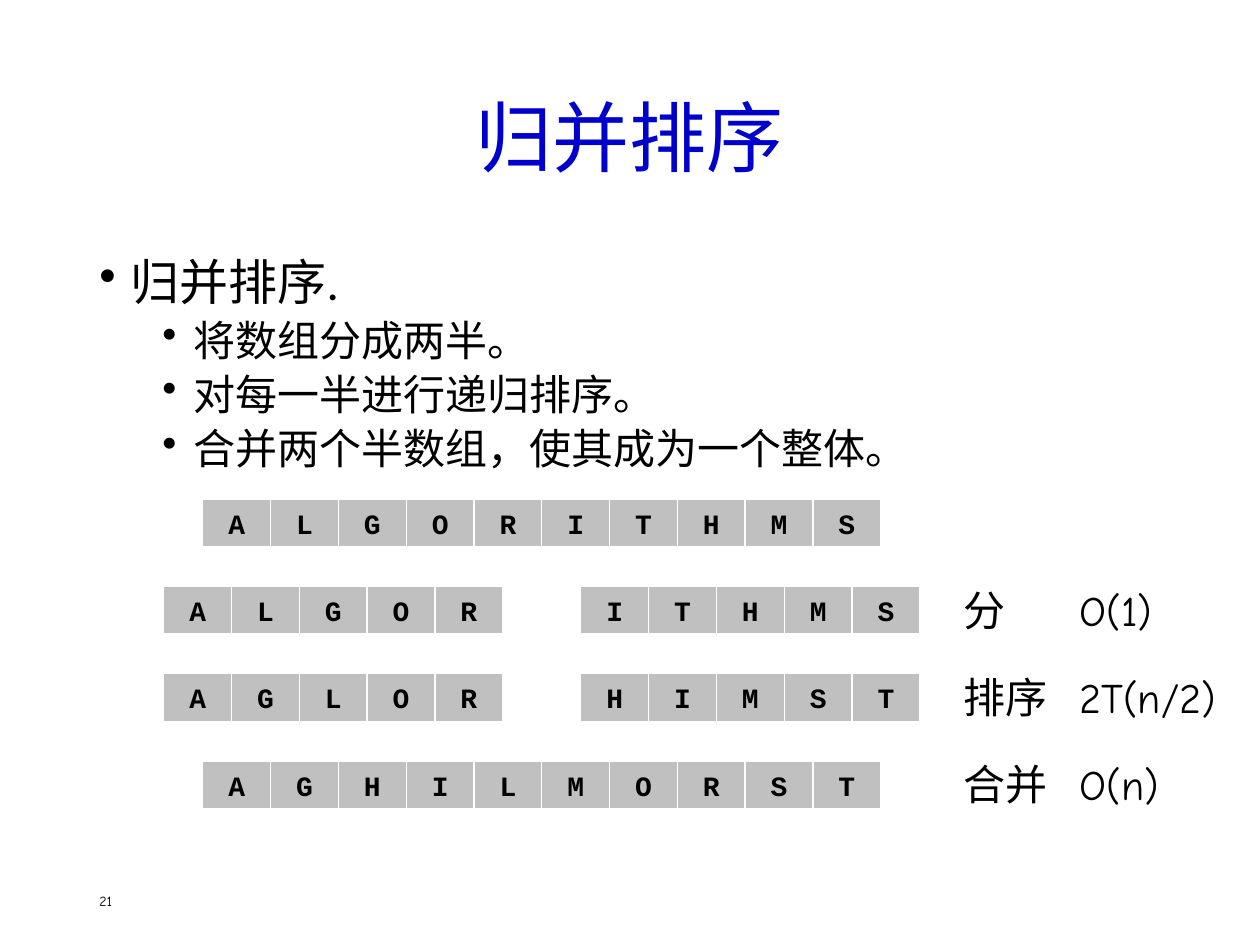
from dataclasses import dataclass

import pptx
import pptx.dml.color
import pptx.enum.shapes
import pptx.enum.text
import pptx.oxml
import pptx.oxml.ns
import pptx.util
from lxml import etree

Inches = pptx.util.Inches
Pt = pptx.util.Pt
RGB = pptx.dml.color.RGBColor.from_string
ALIGN = pptx.enum.text.PP_ALIGN
ANCHOR = pptx.enum.text.MSO_ANCHOR
RECT = pptx.enum.shapes.MSO_SHAPE.RECTANGLE


@dataclass(frozen=True)
class Theme:
    title: str = "0000CC"
    text: str = "000000"
    cell: str = "C0C0C0"
    border: str = "FFFFFF"
    cjk_font: str = "Noto Sans CJK SC"
    body_font: str = "Calibri"
    label_font: str = "Comic Neue"
    cell_font: str = "Courier New"
    title_size: int = 44
    body_size: int = 28
    sub_size: int = 24
    label_size: int = 24
    cell_size: int = 16
    number_size: int = 8
    border_width: float = 0.75


THEME = Theme()

CELL_W = 5.38 / 10
CELL_H = 0.38
FIRST_ROW_TOP = 3.96
ROW_PITCH = 2.08 / 3
FULL_LEFT, LEFT_HALF, RIGHT_HALF = 1.61, 1.3, 4.61
ROWS = [
    [(FULL_LEFT, "ALGORITHMS")],
    [(LEFT_HALF, "ALGOR"), (RIGHT_HALF, "ITHMS")],
    [(LEFT_HALF, "AGLOR"), (RIGHT_HALF, "HIMST")],
    [(FULL_LEFT, "AGHILMORST")],
]

# step, width of its box, cost, width of its box
STEPS = [
    ("分", 1.73, "O(1)", 1.11),
    ("排序", 1.46, "2T(n/2)", 1.64),
    ("合并", 1.73, "O(n)", 1.23),
]
STEP_LEFT, COST_LEFT = 7.55, 8.47
STEP_TOP, STEP_PITCH, STEP_H = 4.59, 0.69, 0.5

BULLETS = [
    (0, "归并排序."),
    (1, "将数组分成两半。"),
    (1, "对每一半进行递归排序。"),
    (1, "合并两个半数组，使其成为一个整体。"),
]


def add_run(p, text, font, size, color=THEME.text, bold=False):
    r = p.add_run()
    r.text = text
    r.font.name = font
    r.font.size = Pt(size)
    r.font.bold = bold
    r.font.color.rgb = RGB(color)
    ea = etree.SubElement(r.font._element, pptx.oxml.ns.qn("a:ea"))
    ea.set("typeface", THEME.cjk_font)


def add_text_box(slide, left, top, width, height, anchor):
    box = slide.shapes.add_textbox(Inches(left), Inches(top), Inches(width), Inches(height))
    tf = box.text_frame
    tf.word_wrap = True
    tf.vertical_anchor = anchor
    return tf


def add_rect(shapes, left, top, width, height, fill=None):
    sp = shapes.add_shape(RECT, Inches(left), Inches(top), Inches(width), Inches(height))
    sp.shadow.inherit = False
    if fill:
        sp.fill.solid()
        sp.fill.fore_color.rgb = RGB(fill)
    else:
        sp.fill.background()
    sp.line.color.rgb = RGB(THEME.border)
    sp.line.width = Pt(THEME.border_width)
    return sp.text_frame


def add_title(slide, text):
    p = add_text_box(slide, 0.69, 0.4, 8.62, 1.45, ANCHOR.MIDDLE).paragraphs[0]
    p.alignment = ALIGN.CENTER
    p.line_spacing = 0.9
    add_run(p, text, THEME.cjk_font, THEME.title_size, THEME.title)


def add_bullets(slide, bullets):
    tf = add_text_box(slide, 0.69, 2, 8.62, 4.76, ANCHOR.TOP)
    for i, (level, text) in enumerate(bullets):
        p = tf.add_paragraph() if i else tf.paragraphs[0]
        p.level = level
        p.line_spacing = 0.9
        p.space_before = Pt(5 if level else 10)
        pPr = p._p.get_or_add_pPr()
        pPr.set("marL", str(Inches(0.25 + 0.5 * level)))
        pPr.set("indent", str(Inches(-0.25)))
        etree.SubElement(pPr, pptx.oxml.ns.qn("a:buChar")).set("char", "•")
        add_run(p, text, THEME.body_font, THEME.sub_size if level else THEME.body_size)


def add_array(slide, left, top, letters):
    """Draw one array as a group of adjoining cells."""
    group = slide.shapes.add_group_shape()
    for i, letter in enumerate(letters):
        tf = add_rect(group.shapes, left + i * CELL_W, top, CELL_W, CELL_H, THEME.cell)
        tf.word_wrap = False
        tf.vertical_anchor = ANCHOR.MIDDLE
        p = tf.paragraphs[0]
        p.alignment = ALIGN.CENTER
        add_run(p, letter, THEME.cell_font, THEME.cell_size, bold=True)


def add_label(slide, left, top, width, text):
    tf = add_rect(slide.shapes, left, top, width, STEP_H)
    tf.word_wrap = True
    tf.auto_size = pptx.enum.text.MSO_AUTO_SIZE.SHAPE_TO_FIT_TEXT
    tf.vertical_anchor = ANCHOR.TOP
    p = tf.paragraphs[0]
    p.alignment = ALIGN.LEFT
    add_run(p, text, THEME.label_font, THEME.label_size)


def add_slide_number(slide, number):
    p = add_text_box(slide, 0.69, 6.95, 2.25, 0.4, ANCHOR.MIDDLE).paragraphs[0]
    add_run(p, number, THEME.label_font, THEME.number_size)


def main():
    prs = pptx.Presentation()
    prs.slide_width, prs.slide_height = Inches(10), Inches(7.5)
    slide = prs.slides.add_slide(prs.slide_layouts[6])

    add_slide_number(slide, "21")
    add_title(slide, "归并排序")
    add_bullets(slide, BULLETS)
    for i, row in enumerate(ROWS):
        for left, letters in row:
            add_array(slide, left, FIRST_ROW_TOP + i * ROW_PITCH, letters)
    for i, (step, step_w, cost, cost_w) in enumerate(STEPS):
        top = STEP_TOP + i * STEP_PITCH
        add_label(slide, STEP_LEFT, top, step_w, step)
        add_label(slide, COST_LEFT, top, cost_w, cost)

    prs.save("out.pptx")


if __name__ == "__main__":
    main()
